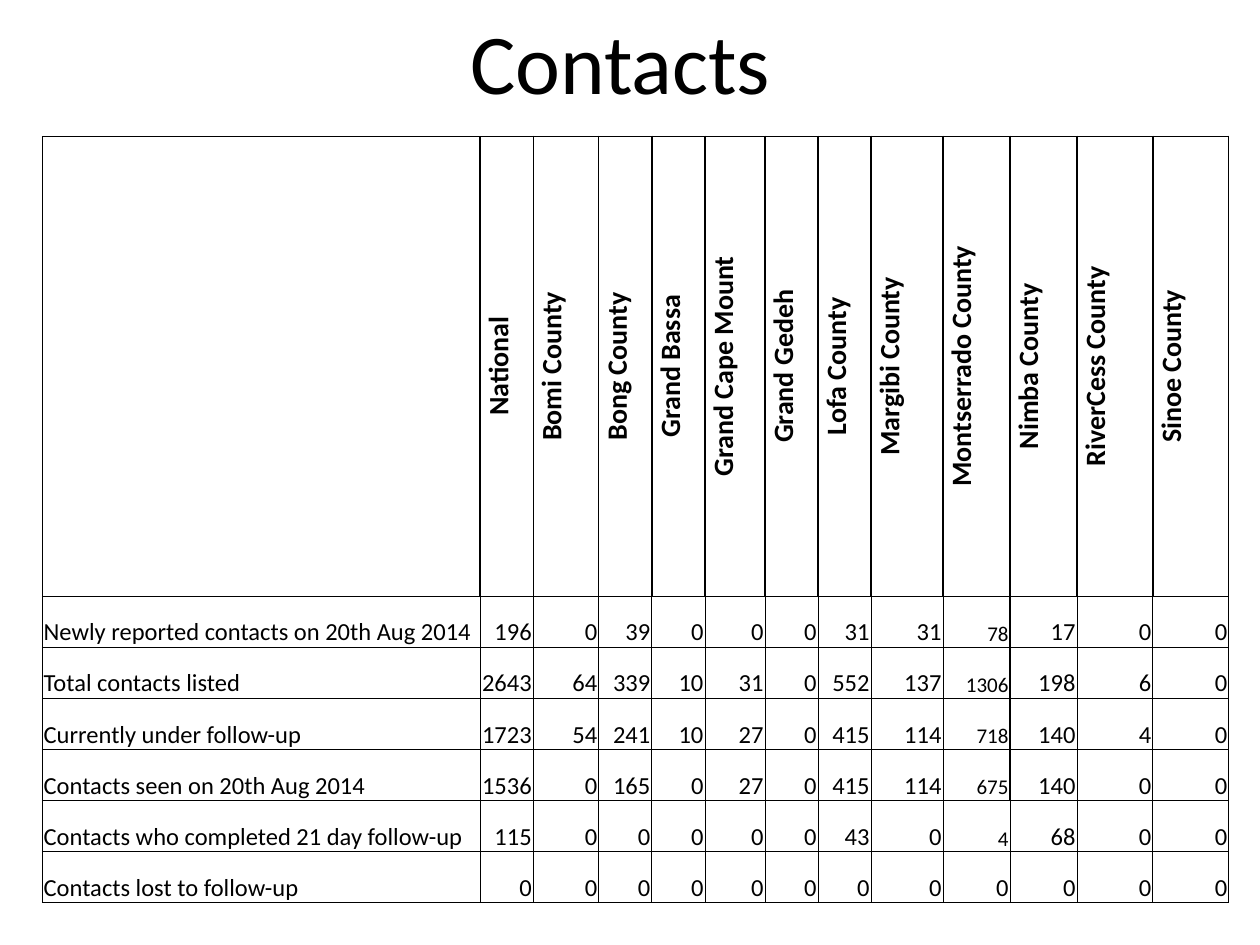
from lxml import etree
from pptx import Presentation
from pptx import util as u
from pptx.dml.color import RGBColor
from pptx.enum import text
from pptx.oxml.ns import qn

BLACK = RGBColor(0x00, 0x00, 0x00)
FONT = "Calibri"
THIN, THICK = u.Pt(0.5), u.Pt(1)

counties = ["National", "Bomi County", "Bong County", "Grand Bassa", "Grand Cape Mount",
            "Grand Gedeh", "Lofa County", "Margibi County", "Montserrado County",
            "Nimba County", "RiverCess County", "Sinoe County"]
contacts = [
    ("Newly reported contacts on 20th Aug 2014", 196, 0, 39, 0, 0, 0, 31, 31, 78, 17, 0, 0),
    ("Total contacts listed", 2643, 64, 339, 10, 31, 0, 552, 137, 1306, 198, 6, 0),
    ("Currently under follow-up", 1723, 54, 241, 10, 27, 0, 415, 114, 718, 140, 4, 0),
    ("Contacts seen on 20th Aug 2014", 1536, 0, 165, 0, 27, 0, 415, 114, 675, 140, 0, 0),
    ("Contacts who completed 21 day follow-up", 115, 0, 0, 0, 0, 0, 43, 0, 4, 68, 0, 0),
    ("Contacts lost to follow-up", 0, 0, 0, 0, 0, 0, 0, 0, 0, 0, 0, 0),
]
rows = [["", *counties], *contacts]
column_widths = [8.83, 1.07, 1.32, 1.07, 1.07, 1.21, 1.07, 1.07, 1.45, 1.35, 1.35, 1.53, 1.53]
row_heights = [9.27] + [1.03] * len(contacts)
montserrado = 1 + counties.index("Montserrado County")


def write(frame, words, size, bold=False, align=text.PP_ALIGN.LEFT):
    para = frame.paragraphs[0]
    para.alignment = align
    span = para.add_run()
    span.text = words
    span.font.name = FONT
    span.font.size = u.Pt(size)
    span.font.bold = bold
    span.font.color.rgb = BLACK


def draw_borders(cell, widths):
    properties = cell._tc.get_or_add_tcPr()
    for side, width in zip("LRTB", widths):
        line = etree.SubElement(properties, qn(f"a:ln{side}"), w=str(width))
        fill = etree.SubElement(line, qn("a:solidFill"))
        etree.SubElement(fill, qn("a:srgbClr"), val=str(BLACK))


deck = Presentation()
deck.slide_width, deck.slide_height = u.Cm(25.4), u.Cm(19.05)
page = deck.slides.add_slide(deck.slide_layouts[5])

title = page.shapes.title
title.left, title.top, title.width, title.height = u.Cm(1.07), u.Cm(0.43), u.Cm(22.86), u.Cm(1.57)
title.text_frame.vertical_anchor = text.MSO_ANCHOR.MIDDLE
write(title.text_frame, "Contacts", size=48.6, align=text.PP_ALIGN.CENTER)

table = page.shapes.add_table(len(rows), len(column_widths), u.Cm(0.85), u.Cm(2.75),
                              u.Cm(sum(column_widths)), u.Cm(sum(row_heights))).table
table.first_row = table.horz_banding = False
for column, width in zip(table.columns, column_widths):
    column.width = u.Cm(width)
for row, height in zip(table.rows, row_heights):
    row.height = u.Cm(height)

thick_cells = {(0, c) for c in range(1, len(column_widths))}
thick_cells |= {(r, montserrado) for r in range(1, 5)}

for r, values in enumerate(rows):
    for c, value in enumerate(values):
        cell = table.cell(r, c)
        cell.margin_left = cell.margin_right = cell.margin_top = u.Cm(0.03)
        cell.margin_bottom = 0
        thick = (r, c) in thick_cells
        edges = [(r == 0 and thick) or (r, c - 1) in thick_cells,
                 thick or (r, c) == (0, 0),
                 thick or (r - 1, c) in thick_cells,
                 thick]
        draw_borders(cell, [THICK if edge else THIN for edge in edges])
        cell.fill.background()
        if r == 0:
            cell.vertical_anchor = text.MSO_ANCHOR.MIDDLE
            if c > 0:
                cell._tc.get_or_add_tcPr().set("vert", "vert270")
                write(cell.text_frame, value, size=16, bold=True, align=text.PP_ALIGN.CENTER)
        else:
            cell.vertical_anchor = text.MSO_ANCHOR.BOTTOM
            small = c == montserrado and r < len(contacts)
            write(cell.text_frame, str(value), size=12 if small else 14,
                  align=text.PP_ALIGN.RIGHT if c else text.PP_ALIGN.LEFT)

deck.save("out.pptx")
